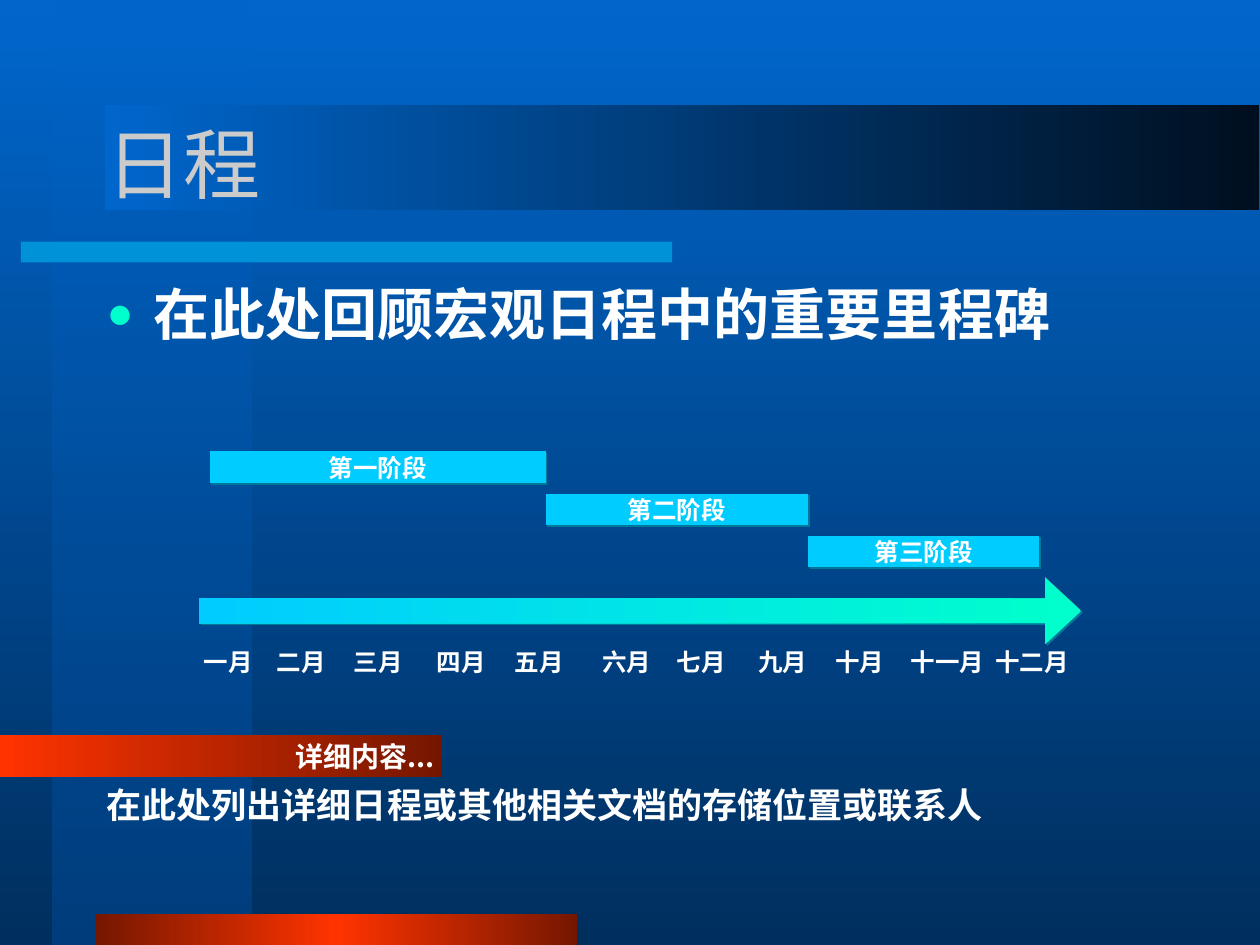
from lxml.etree import SubElement
from pptx import Presentation
from pptx.dml.color import RGBColor
from pptx.enum.shapes import MSO_SHAPE
from pptx.enum.text import MSO_ANCHOR, MSO_AUTO_SIZE, PP_ALIGN
from pptx.oxml.ns import qn
from pptx.util import Cm, Pt

FLAME, EMBER = "FF3300", "751700"
CYAN, MINT = "00CCFF", "00FFCC"
SKY, NAVY = "0066CC", "002F5E"


def color(value):
    return RGBColor.from_string(value)


def add_xml(parent, tag, **attributes):
    return SubElement(parent, qn(tag), {key: str(value) for key, value in attributes.items()})


def paint_gradient(fill, owner, stops, angle):
    """Fill with (percent, colour, opacity) stops; angle is counterclockwise."""
    fill.gradient()
    fill.gradient_angle = angle
    stop_list = owner.find(".//" + qn("a:gsLst"))
    for old in list(stop_list):
        stop_list.remove(old)
    for percent, value, opacity in stops:
        stop = add_xml(stop_list, "a:gs", pos=percent * 1000)
        swatch = add_xml(stop, "a:srgbClr", val=value)
        if opacity < 100:
            add_xml(swatch, "a:alpha", val=opacity * 1000)


def write_text(box, text, size=14, font="Arial", fill="FFFFFF", bold=True, wrap=True,
               align=PP_ALIGN.LEFT, anchor=MSO_ANCHOR.TOP, side=0.25, bullet=None):
    frame = box.text_frame
    frame.word_wrap = wrap
    frame.vertical_anchor = anchor
    frame.margin_left = frame.margin_right = Cm(side)
    frame.margin_top = frame.margin_bottom = Cm(0.13)
    para = frame.paragraphs[0]
    para.alignment = align
    if bullet:
        properties = para._p.get_or_add_pPr()
        properties.set("marL", str(Cm(0.95)))
        properties.set("indent", str(-Cm(0.95)))
        add_xml(add_xml(properties, "a:buClr"), "a:srgbClr", val=bullet)
        add_xml(properties, "a:buSzPct", val=80000)
        add_xml(properties, "a:buFont", typeface="Arial")
        add_xml(properties, "a:buChar", char="●")
    span = para.add_run()
    span.text = text
    span.font.size = Pt(size)
    span.font.bold = bold
    span.font.name = font
    span.font.color.rgb = color(fill)
    add_xml(span._r.get_or_add_rPr(), "a:ea", typeface="Noto Sans CJK SC")


class SlidePainter:
    heading_font = "Noto Sans CJK SC"
    shadow_color = "007998"

    def __init__(self, deck):
        self.slide = deck.slides.add_slide(deck.slide_layouts[6])

    def background(self, stops, angle):
        background = self.slide.background
        paint_gradient(background.fill, self.slide._element, stops, angle)

    def shape(self, place, kind=MSO_SHAPE.RECTANGLE, shadow=False):
        shape = self.slide.shapes.add_shape(kind, *map(Cm, place))
        shape.line.fill.background()
        shape.shadow.inherit = False
        if shadow:
            effects = shape._element.spPr.find(qn("a:effectLst"))
            outer = add_xml(effects, "a:outerShdw", blurRad=0, dist=Pt(1.4), dir=45 * 60000,
                            algn="ctr", rotWithShape=0)
            add_xml(outer, "a:srgbClr", val=self.shadow_color)
        return shape

    def gradient(self, place, stops, angle=180, **options):
        shape = self.shape(place, **options)
        paint_gradient(shape.fill, shape._element, stops, angle)
        return shape

    def solid(self, place, fill, opacity=100, **options):
        shape = self.shape(place, **options)
        shape.fill.solid()
        shape.fill.fore_color.rgb = color(fill)
        if opacity < 100:
            swatch = shape._element.spPr.find(".//" + qn("a:srgbClr"))
            add_xml(swatch, "a:alpha", val=opacity * 1000)
        return shape

    def text(self, place, text, **options):
        box = self.slide.shapes.add_textbox(*map(Cm, place))
        write_text(box, text, **options)
        return box

    def stage(self, place, text):
        bar = self.solid(place, CYAN, kind=MSO_SHAPE.FLOWCHART_PROCESS, shadow=True)
        write_text(bar, text, wrap=False, align=PP_ALIGN.CENTER, anchor=MSO_ANCHOR.MIDDLE)

    def month(self, left, text):
        box = self.text((left, 12.91, 0.5 + 0.5 * len(text), 0.86), text, wrap=False)
        box.text_frame.auto_size = MSO_AUTO_SIZE.SHAPE_TO_FIT_TEXT


def main():
    deck = Presentation()
    deck.slide_width, deck.slide_height = Cm(25.4), Cm(19.05)
    page = SlidePainter(deck)
    heading = page.heading_font

    page.background([(0, SKY, 100), (100, NAVY, 100)], 270)
    page.gradient((1.06, 0, 4.02, 19.05), [(0, SKY, 50), (100, "003E7D", 100)], angle=270)
    page.solid((0.42, 4.87, 13.13, 0.42), CYAN, opacity=50)
    page.gradient((1.92, 18.42, 9.72, 0.63),
                  [(0, EMBER, 100), (50, FLAME, 100), (100, EMBER, 100)])
    page.gradient((2.12, 2.12, 23.27, 2.12), [(0, "000F1F", 100), (100, SKY, 100)])

    page.text((1.9, 1.69, 21.59, 3.18), "日程", size=44, font=heading, fill="CBCBCB",
              bold=False, anchor=MSO_ANCHOR.MIDDLE)
    page.text((1.9, 5.5, 21.59, 11.43), "在此处回顾宏观日程中的重要里程碑",
              size=32, font=heading, bullet=MINT)

    details = page.gradient((0, 14.82, 8.89, 0.85), [(0, EMBER, 100), (100, FLAME, 100)])
    write_text(details, "详细内容...", size=16, font=heading, wrap=False, side=0.13,
               align=PP_ALIGN.RIGHT, anchor=MSO_ANCHOR.MIDDLE)
    page.text((1.9, 15.66, 21.59, 2.54), "在此处列出详细日程或其他相关文档的存储位置或联系人",
              size=20, font=heading)

    arrow = page.gradient((4.02, 11.64, 17.78, 1.35), [(0, MINT, 100), (100, CYAN, 100)],
                          kind=MSO_SHAPE.RIGHT_ARROW, shadow=True)
    arrow.adjustments[0], arrow.adjustments[1] = 0.37, 0.54

    months = {"一月": 3.86, "二月": 5.33, "三月": 6.88, "四月": 8.56, "五月": 10.13,
              "六月": 11.89, "七月": 13.39, "九月": 15.04, "十月": 16.59,
              "十一月": 18.11, "十二月": 19.81}
    for name, left in months.items():
        page.month(left, name)

    left, top = 4.23, 9.1
    for name, width in (("第一阶段", 6.77), ("第二阶段", 5.29), ("第三阶段", 4.66)):
        page.stage((left, top, width, 0.64), name)
        left += width
        top += 0.85

    deck.save("out.pptx")


if __name__ == "__main__":
    main()
